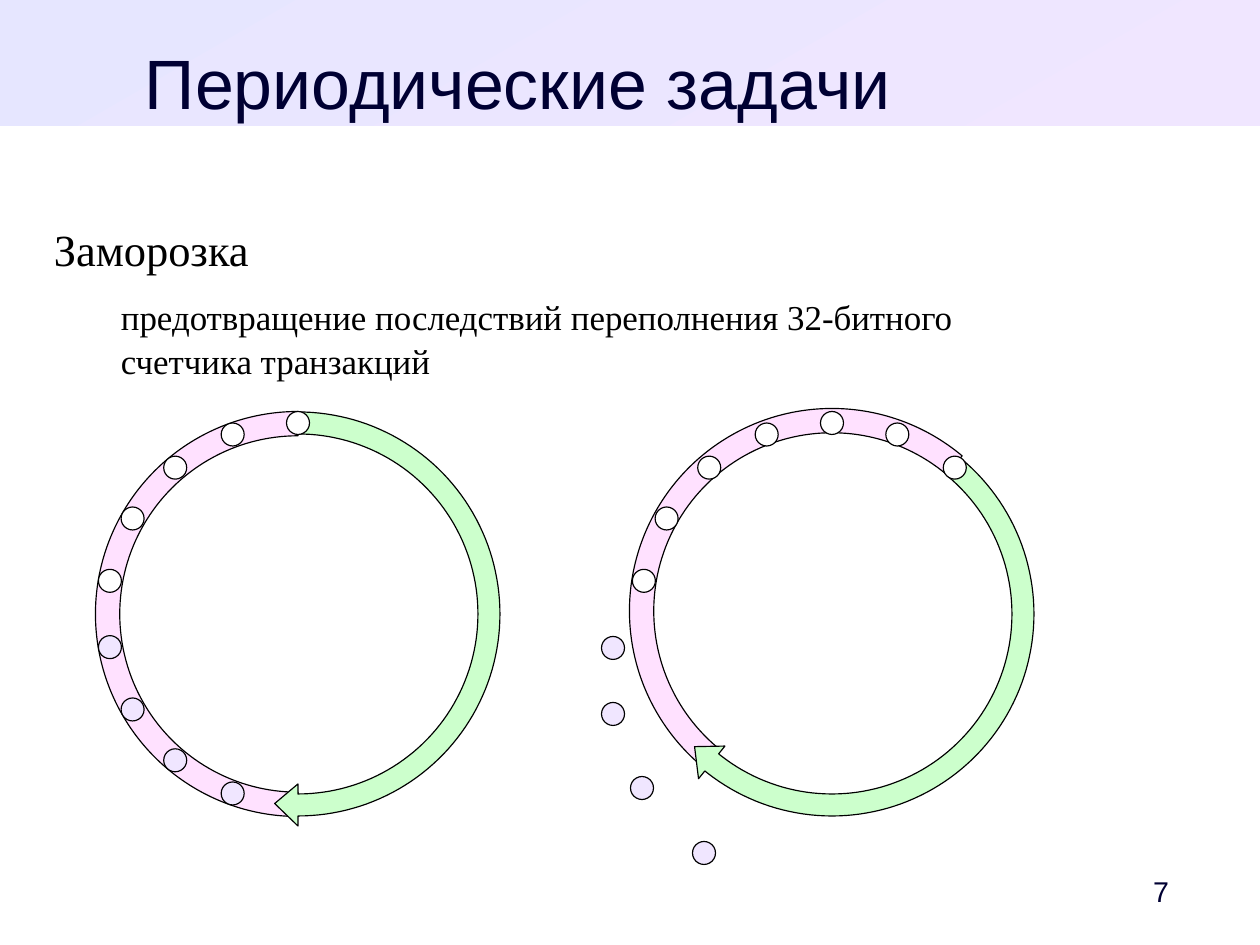
import math
from dataclasses import dataclass

from pptx import Presentation
from pptx import util as u
from pptx.dml.color import RGBColor
from pptx.enum import shapes, text


@dataclass(frozen=True)
class Theme:
    ink: str = "000033"
    black: str = "000000"
    white: str = "FFFFFF"
    band_start: str = "E6E6FF"
    lavender: str = "F0E6FF"
    pink: str = "FFE1FF"
    green: str = "CCFFCC"
    heading_font: str = "Arial"
    body_font: str = "Times New Roman"
    title_size: int = 44
    topic_size: int = 28
    detail_size: int = 22
    number_size: int = 18


THEME = Theme()
EMU_PER_PX = 8000
RING_RADIUS = 191
BAND_HALF = 11
HEAD_HALF = 21
HEAD_DEGREES = 7
BEAD_SIZE = 23
ARC_SIZE = 405
STEP = 20


def px(value):
    return u.Emu(round(value * EMU_PER_PX))


def color(value):
    return RGBColor.from_string(value)


def apply(target, formats):
    for name, value in formats.items():
        setattr(target, name, value)


def place(shape, left, top, width, height):
    apply(shape, {"left": px(left), "top": px(top),
                  "width": px(width), "height": px(height)})


def paint(shape, fill):
    shape.shadow.inherit = False
    shape.fill.solid()
    shape.fill.fore_color.rgb = color(fill)
    shape.line.color.rgb = color(THEME.black)
    shape.line.width = u.Pt(0)


def polar(center, radius, degrees):
    angle = math.radians(degrees)
    x, y = center
    return x + radius * math.sin(angle), y - radius * math.cos(angle)


def format_frame(frame, **formats):
    defaults = {"word_wrap": True, "auto_size": text.MSO_AUTO_SIZE.NONE,
                "vertical_anchor": text.MSO_ANCHOR.TOP, "margin_left": 0,
                "margin_top": 0, "margin_right": 0, "margin_bottom": 0}
    apply(frame, {**defaults, **formats})


def write(paragraph, words, font, size, ink, **formats):
    paragraph.text = words
    apply(paragraph, formats)
    apply(paragraph.font, {"name": font, "size": u.Pt(size)})
    paragraph.font.color.rgb = color(ink)


def add_band(slide):
    band = slide.shapes.add_shape(shapes.MSO_SHAPE.RECTANGLE, 0, 0, px(1260), px(126))
    band.shadow.inherit = False
    band.line.fill.background()
    band.fill.gradient()
    band.fill.gradient_angle = 300
    for stop, value in zip(band.fill.gradient_stops, (THEME.band_start, THEME.lavender)):
        stop.color.rgb = color(value)
    band.element.getparent().insert(2, band.element)


def set_title(slide, words):
    title = slide.shapes.title
    place(title, 54, 33, 929, 79)
    format_frame(title.text_frame, margin_top=px(7))
    write(title.text_frame.paragraphs[0], words, THEME.heading_font,
          THEME.title_size, THEME.ink, alignment=text.PP_ALIGN.CENTER)


def add_text_box(slide, left, top, width, height, **formats):
    box = slide.shapes.add_textbox(px(left), px(top), px(width), px(height))
    format_frame(box.text_frame, **formats)
    return box.text_frame


def add_body(slide, topic, detail):
    frame = add_text_box(slide, 54, 216, 1152, 648, margin_top=px(6))
    write(frame.paragraphs[0], topic, THEME.body_font, THEME.topic_size,
          THEME.black, space_after=u.Pt(11.3))
    paragraph = frame.add_paragraph()
    write(paragraph, detail, THEME.body_font, THEME.detail_size,
          THEME.black, level=1, line_spacing=1.05)
    properties = paragraph._p.get_or_add_pPr()
    properties.set("marL", str(px(67)))
    properties.set("indent", "0")


def add_slide_number(slide, number):
    frame = add_text_box(slide, 1108, 864, 99, 54, margin_right=px(38),
                         vertical_anchor=text.MSO_ANCHOR.MIDDLE)
    write(frame.paragraphs[0], number, THEME.heading_font, THEME.number_size,
          THEME.ink, alignment=text.PP_ALIGN.RIGHT)


def add_past_arc(slide, center, rotation):
    x, y = center
    arc = slide.shapes.add_shape(
        shapes.MSO_SHAPE.BLOCK_ARC, px(x - ARC_SIZE / 2), px(y - ARC_SIZE / 2),
        px(ARC_SIZE), px(ARC_SIZE))
    for index, value in enumerate((108, 0, 0.06)):
        arc.adjustments[index] = value
    arc.rotation = rotation
    paint(arc, THEME.pink)


def add_future_arrow(slide, center, start, end):
    inner, outer = RING_RADIUS - BAND_HALF, RING_RADIUS + BAND_HALF
    angles = [*range(start, end, 2), end]
    outline = [(inner, angle) for angle in reversed(angles)]
    outline += [(outer, angle) for angle in angles]
    outline += [(RING_RADIUS + HEAD_HALF, end), (RING_RADIUS, end + HEAD_DEGREES),
                (RING_RADIUS - HEAD_HALF, end)]
    points = [tuple(map(px, polar(center, radius, angle))) for radius, angle in outline]
    builder = slide.shapes.build_freeform(*points[0])
    builder.add_line_segments(points[1:], close=True)
    paint(builder.convert_to_shape(), THEME.green)


def add_bead(slide, center, fill):
    x, y = center
    bead = slide.shapes.add_shape(
        shapes.MSO_SHAPE.OVAL, px(x - BEAD_SIZE / 2), px(y - BEAD_SIZE / 2),
        px(BEAD_SIZE), px(BEAD_SIZE))
    paint(bead, fill)


def add_ring_beads(slide, center, first, last, fill):
    for angle in range(first, last + 1, STEP):
        add_bead(slide, polar(center, RING_RADIUS, angle), fill)


def main():
    presentation = Presentation()
    apply(presentation, {"slide_width": px(1260), "slide_height": px(945)})
    slide = presentation.slides.add_slide(presentation.slide_layouts[5])

    add_band(slide)
    set_title(slide, "Периодические задачи")
    add_body(slide, "Заморозка",
             "предотвращение последствий переполнения 32-битного\vсчетчика транзакций")
    add_slide_number(slide, "7")

    before, after = (298, 614), (832, 614)
    add_past_arc(slide, before, 270)
    add_future_arrow(slide, before, 0, 180)
    add_ring_beads(slide, before, 200, 260, THEME.lavender)
    add_ring_beads(slide, before, 280, 360, THEME.white)

    add_past_arc(slide, (832, 611), 310)
    add_future_arrow(slide, after, 40, 219)
    add_ring_beads(slide, after, 280, 400, THEME.white)
    for frozen in ((613, 648), (613, 714), (642, 788), (704, 853)):
        add_bead(slide, frozen, THEME.lavender)

    presentation.save("out.pptx")


if __name__ == "__main__":
    main()
